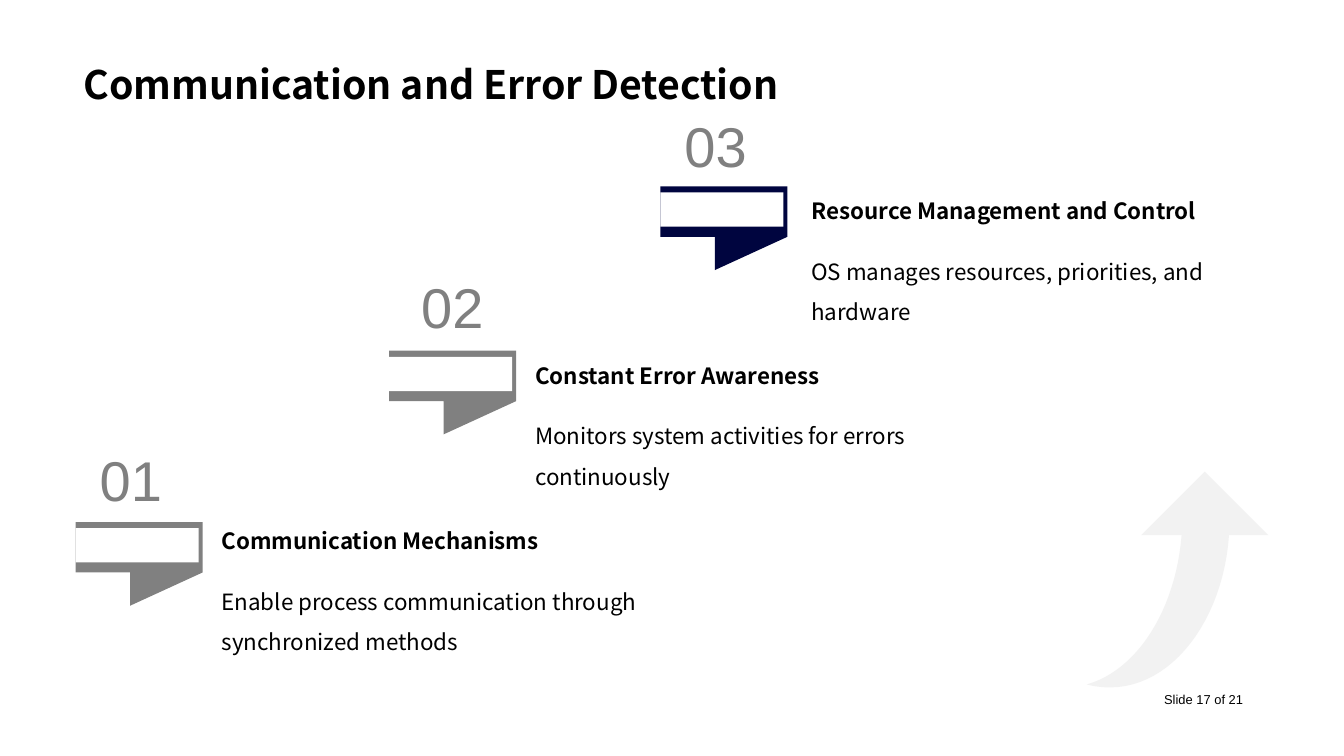
"""Build the "Communication and Error Detection" staircase slide."""
from pptx import Presentation
from pptx.dml.color import RGBColor
from pptx.enum.shapes import MSO_SHAPE
from pptx.enum.text import MSO_ANCHOR, MSO_AUTO_SIZE, PP_ALIGN
from pptx.util import Inches, Pt

SANS, ARIAL = "Noto Sans CJK SC", "Arial"


def draw(shapes, color, points=None, box=None):
    """Add a filled outline through points, or a rectangle in box."""
    if box:
        sp = shapes.add_shape(MSO_SHAPE.RECTANGLE, *[Inches(v) for v in box])
    else:
        corners = [(Inches(x), Inches(y)) for x, y in points]
        fb = shapes.build_freeform(*corners[0])
        fb.add_line_segments(corners[1:], close=True)
        sp = fb.convert_to_shape()
    sp.shadow.inherit = False
    sp.fill.solid()
    sp.fill.fore_color.rgb = RGBColor.from_string(color)
    sp.line.fill.background()


def write(sp, box, text, size, font=SANS, color="000000", bold=False,
          anchor=MSO_ANCHOR.TOP, align=PP_ALIGN.LEFT, spacing=1.0):
    """Place a text shape and fill it with one formatted run."""
    for name, value in zip(("left", "top", "width", "height"), box):
        setattr(sp, name, Inches(value))
    tf = sp.text_frame
    frame = {"word_wrap": True, "auto_size": MSO_AUTO_SIZE.NONE, "vertical_anchor": anchor}
    for name, value in frame.items():
        setattr(tf, name, value)
    p = tf.paragraphs[0]
    p.alignment, p.line_spacing = align, spacing
    r = p.add_run()
    r.text = text
    for name, value in {"name": font, "size": Pt(size), "bold": bold}.items():
        setattr(r.font, name, value)
    r.font.color.rgb = RGBColor.from_string(color)
    return tf


prs = Presentation()
prs.slide_width, prs.slide_height = Inches(13.33), Inches(7.5)
s = prs.slides.add_slide(prs.slide_layouts[5])

write(s.shapes.title, (0.73, 0, 11.87, 1.12), "Communication and Error Detection", 28,
      bold=True, anchor=MSO_ANCHOR.BOTTOM, spacing=0.9)

steps = [
    ("01", (0.89, 4.45), (0.75, 5.18), (2.1, 5.18), "808080", "Communication Mechanisms",
     "Enable process communication through synchronized methods"),
    ("02", (4.08, 2.73), (3.86, 3.48), (5.21, 3.54), "808080", "Constant Error Awareness",
     "Monitors system activities for errors continuously"),
    ("03", (6.69, 1.13), (6.55, 1.85), (7.95, 1.91), "00053F", "Resource Management and Control",
     "OS manages resources, priorities, and hardware"),
]
flag_outline = [(0.54, 0.83), (0.54, 0.5), (0, 0.5), (0, 0), (1.26, 0), (1.26, 0.5)]

for number, number_at, (x, y), (tx, ty), color, heading, detail in steps:
    flag = s.shapes.add_group_shape()
    draw(flag.shapes, color, points=[(x + dx, y + dy) for dx, dy in flag_outline])
    draw(flag.shapes, "FFFFFF", box=(x, y + 0.06, 1.22, 0.34))
    texts = [
        ((tx, ty, 4.87, 0.37), heading, 16, {"bold": True}),
        ((tx, ty + 0.47, 4.87, 0.87), detail, 16, {"spacing": 1.5}),
        ((*number_at, 0.94, 0.76), number, 40,
         {"font": ARIAL, "color": "808080", "spacing": 0.9}),
    ]
    for box, text, size, style in texts:
        write(s.shapes.add_textbox(0, 0, 0, 0), box, text, size, **style)

arrow = [(12.19, 5.31), (12.58, 5.31), (11.95, 4.68), (11.32, 5.31), (11.72, 5.31)]
curves = [
    [(11.72, 5.31), (11.66, 6.05), (11.28, 6.65), (10.78, 6.79)],
    [(10.78, 6.79), (10.85, 6.81), (10.93, 6.82), (11.01, 6.82)],
    [(11.01, 6.82), (11.62, 6.82), (12.13, 6.16), (12.19, 5.31)],
]
for curve in curves:
    for t in [i / 24 for i in range(1, 25)]:
        weights = ((1 - t) ** 3, 3 * t * (1 - t) ** 2, 3 * t ** 2 * (1 - t), t ** 3)
        arrow.append(tuple(sum(w * c for w, c in zip(weights, axis)) for axis in zip(*curve)))
draw(s.shapes, "F2F2F2", points=arrow)

tf = write(s.shapes.add_textbox(0, 0, 0, 0), (9.42, 6.82, 3.18, 0.23), "Slide 17 of 21", 9.2,
           font=ARIAL, anchor=MSO_ANCHOR.MIDDLE, align=PP_ALIGN.RIGHT)
tf.margin_right = Inches(0.27)

prs.save("out.pptx")
